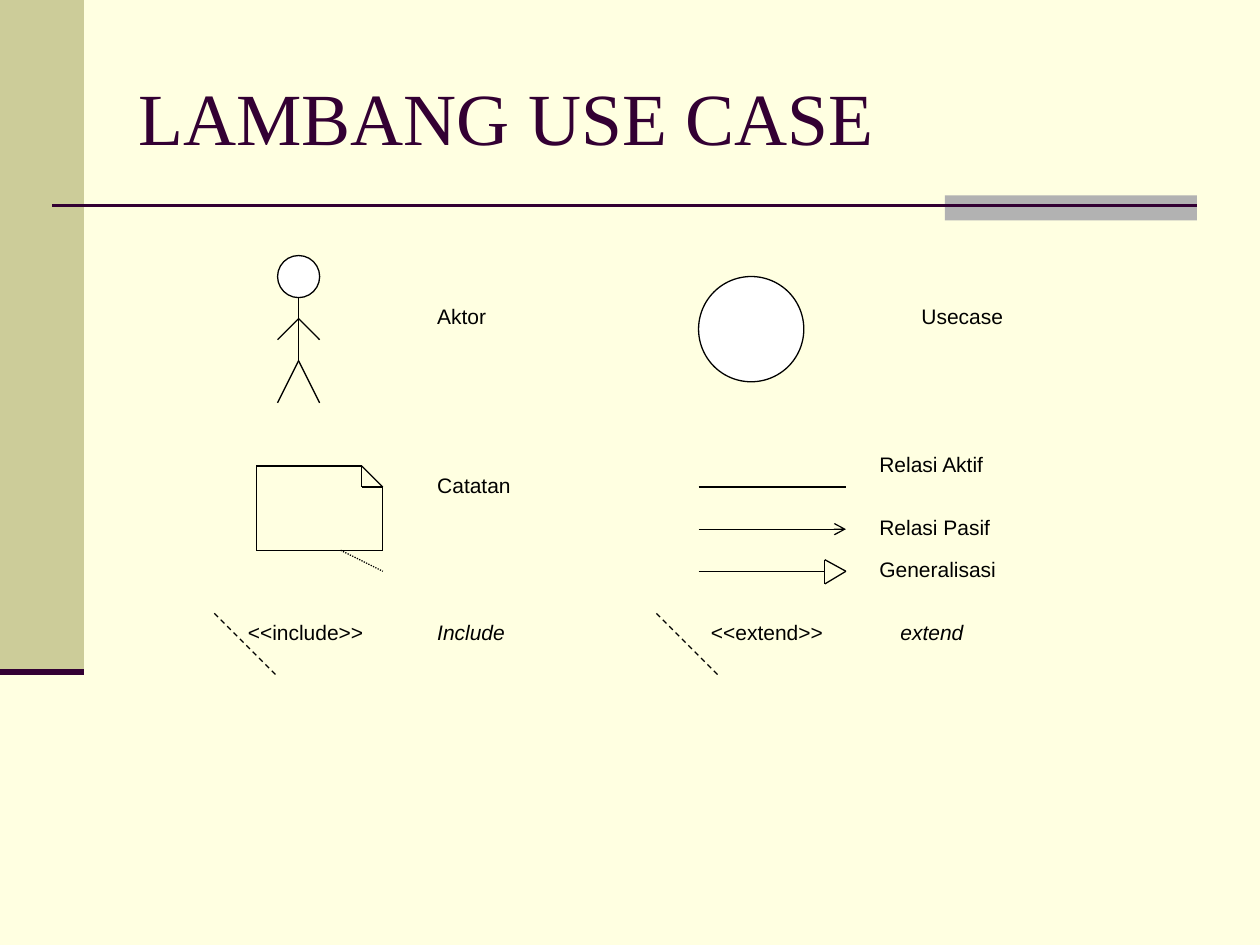
"""Build a slide that lists the symbols of a use case diagram."""
from dataclasses import dataclass

from lxml import etree
from pptx import Presentation
from pptx.dml.color import RGBColor
from pptx.enum.dml import MSO_LINE
from pptx.enum.shapes import MSO_CONNECTOR, MSO_SHAPE
from pptx.enum.text import MSO_ANCHOR, PP_ALIGN
from pptx.oxml.ns import qn
from pptx.util import Pt

RECT, OVAL = MSO_SHAPE.RECTANGLE, MSO_SHAPE.OVAL
DASH, DOT = MSO_LINE.DASH, MSO_LINE.ROUND_DOT
TOP, MIDDLE = MSO_ANCHOR.TOP, MSO_ANCHOR.MIDDLE
STRAIGHT, LEFT = MSO_CONNECTOR.STRAIGHT, PP_ALIGN.LEFT
COLORS = {"page": "FFFFE1", "band": "CCCC99", "block": "B2B2B2",
          "rule": "330033", "ink": "000000", "white": "FFFFFF"}
STEP, LEFT_X, TOP_Y = 12.03, 122.5, 146


@dataclass
class Label:
    text: str
    col: float
    row: float
    wide: float = 72
    slant: bool = False


@dataclass
class Stroke:
    col: float
    row: float
    end_col: float
    end_row: float
    dash: int | None = None
    arrow: bool = False


@dataclass
class Disc:
    col: float
    row: float
    size: float


LABELS = [
    Label("Aktor", 10, 2), Label("Usecase", 33, 2), Label("Catatan", 10, 10),
    Label("Relasi Aktif", 31, 9, 108), Label("Relasi Pasif", 31, 12, 108),
    Label("Generalisasi", 31, 14, 108),
    Label("<<include>>", 1, 17, 108), Label("Include", 10, 17, slant=True),
    Label("<<extend>>", 23, 17, 108), Label("extend", 32, 17, slant=True),
]
DISCS = [Disc(23, 1, 5), Disc(3, 0, 2)]
ACTOR = [Stroke(4, 2, 4, 5), Stroke(4, 3, 3, 4), Stroke(4, 3, 5, 4),
         Stroke(4, 5, 3, 7), Stroke(4, 5, 5, 7)]
NOTE = [Stroke(2, 10, 7, 10), Stroke(2, 14, 8, 14), Stroke(2, 10, 2, 14),
        Stroke(8, 11, 8, 14), Stroke(7, 10, 8, 11), Stroke(7, 10, 7, 11),
        Stroke(7, 11, 8, 11), Stroke(6, 14, 8, 15, DOT)]
LINKS = [Stroke(23, 11, 30, 11), Stroke(23, 13, 30, 13, arrow=True),
         Stroke(23, 15, 29, 15), Stroke(29, 14.45, 29, 15.6),
         Stroke(29, 14.45, 30, 15), Stroke(30, 15, 29, 15.6),
         Stroke(0, 17, 3, 20, DASH), Stroke(21, 17, 24, 20, DASH)]


def color(name: str) -> RGBColor:
    return RGBColor.from_string(COLORS[name])


def grid(col: float, row: float) -> tuple[float, float]:
    return LEFT_X + STEP * col, TOP_Y + STEP * row


def write(shape, text: str, *, size: float = 12, font: str = "Arial",
          ink: str = "ink", slant: bool = False, anchor=TOP) -> None:
    frame = shape.text_frame
    frame.word_wrap = True
    frame.vertical_anchor = anchor
    para = frame.paragraphs[0]
    para.alignment = LEFT
    run = para.add_run()
    run.text = text
    run.font.size = Pt(size)
    run.font.name = font
    run.font.italic = slant
    run.font.color.rgb = color(ink)


def place(shape, x: float, y: float, wide: float, high: float) -> None:
    shape.left, shape.top = Pt(x), Pt(y)
    shape.width, shape.height = Pt(wide), Pt(high)


def draw_shape(slide, kind, x: float, y: float, wide: float, high: float,
               fill: str, edge: str | None = None) -> None:
    shape = slide.shapes.add_shape(kind, Pt(x), Pt(y), Pt(wide), Pt(high))
    shape.shadow.inherit = False
    shape.fill.solid()
    shape.fill.fore_color.rgb = color(fill)
    if edge:
        shape.line.color.rgb = color(edge)
        shape.line.width = Pt(0.75)
    else:
        shape.line.fill.background()


def draw_line(slide, start: tuple[float, float], end: tuple[float, float],
              ink: str = "ink", width: float = 0.75, dash=None,
              arrow: bool = False) -> None:
    link = slide.shapes.add_connector(
        STRAIGHT, *(Pt(value) for value in (*start, *end)))
    link.line.color.rgb = color(ink)
    link.line.width = Pt(width)
    if dash is not None:
        link.line.dash_style = dash
    if arrow:
        etree.SubElement(link.line._get_or_add_ln(), qn("a:tailEnd"),
                         type="arrow")
    etree.SubElement(link._element.spPr, qn("a:effectLst"))


def draw_stroke(slide, item: Stroke) -> None:
    draw_line(slide, grid(item.col, item.row),
              grid(item.end_col, item.end_row),
              dash=item.dash, arrow=item.arrow)


def draw_disc(slide, item: Disc) -> None:
    size = item.size * STEP
    draw_shape(slide, OVAL, *grid(item.col, item.row), size, size,
               "white", "ink")


def draw_label(slide, item: Label) -> None:
    x, y = grid(item.col, item.row)
    box = slide.shapes.add_textbox(Pt(x), Pt(y), Pt(item.wide), Pt(36))
    write(box, item.text, slant=item.slant)


def main() -> None:
    deck = Presentation()
    deck.slide_width, deck.slide_height = Pt(720), Pt(540)
    slide = deck.slides.add_slide(deck.slide_layouts[5])
    slide.background.fill.solid()
    slide.background.fill.fore_color.rgb = color("page")

    title = slide.shapes.title
    place(title, 72, 21.6, 612, 90)
    write(title, "LAMBANG USE CASE", size=42, font="Times New Roman",
          ink="rule", anchor=MIDDLE)

    draw_shape(slide, RECT, 0, 0, 48, 384, "band")
    draw_shape(slide, RECT, 540, 111.6, 144, 14.4, "block")
    draw_line(slide, (30, 117.6), (684, 117.6), "rule", 1.5)
    draw_line(slide, (0, 384), (48, 384), "rule", 3.5)

    for disc in DISCS:
        draw_disc(slide, disc)
    for stroke in ACTOR + NOTE + LINKS:
        draw_stroke(slide, stroke)
    for label in LABELS:
        draw_label(slide, label)
    deck.save("out.pptx")


if __name__ == "__main__":
    main()
